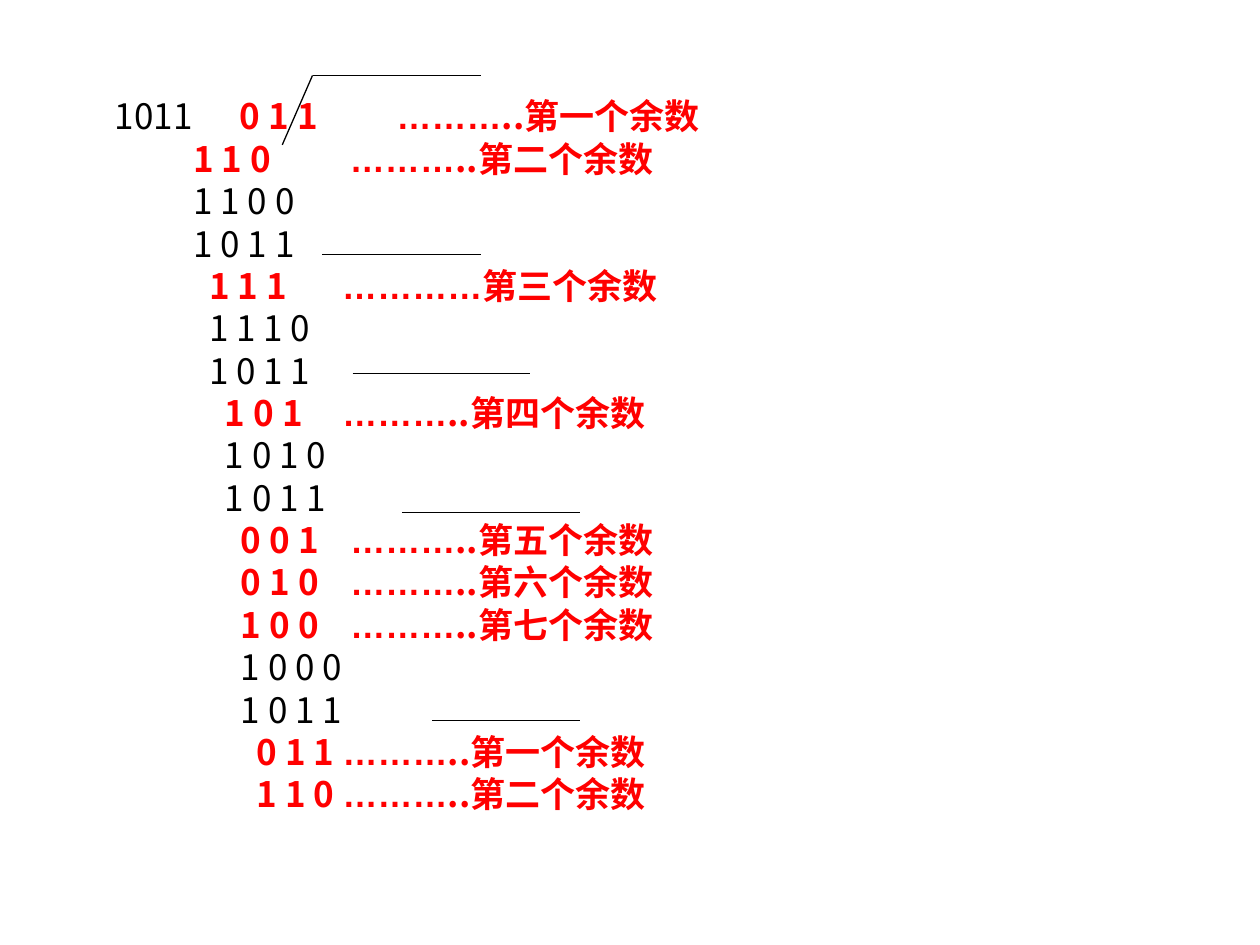
from pptx import Presentation
from pptx.dml.color import RGBColor
from pptx.enum.shapes import MSO_CONNECTOR as Conn
from pptx.enum.text import MSO_AUTO_SIZE as AutoSize
from pptx.oxml.ns import qn
from pptx.util import Cm, Pt
from lxml.etree import SubElement

BLACK = RGBColor(0, 0, 0)
RED = RGBColor(255, 0, 0)
CJK = "Noto Sans CJK SC"
DIVISOR_X, FIRST_X, STEP_X = 0.79, 2.37, 0.32
SPACE_WIDTH = 450

# number, indent level, gap in space widths, dots, label
ROWS = [
    ("0 1 1", 3, 10, "………", "..第一个余数"),
    ("1 1 0", 0, 10, "………", "..第二个余数"),
    ("1 1 0 0", 0),
    ("1 0 1 1", 0),
    ("1 1 1", 1, 7, "…………", "第三个余数"),
    ("1 1 1 0", 1),
    ("1 0 1 1", 1),
    ("1 0 1", 2, 5, "………", "..第四个余数"),
    ("1 0 1 0", 2),
    ("1 0 1 1", 2),
    ("0 0 1", 3, 4, "………", "..第五个余数"),
    ("0 1 0", 3, 4, "………", "..第六个余数"),
    ("1 0 0", 3, 4, "………", "..第七个余数"),
    ("1 0 0 0", 3),
    ("1 0 1 1", 3),
    ("0 1 1", 4, 1, "………", "..第一个余数"),
    ("1 1 0", 4, 1, "………", "..第二个余数"),
]
LINES = [
    (6.3, 1.52, 9.7, 1.52),
    (6.3, 1.52, 5.69, 2.92),
    (6.5, 5.13, 9.7, 5.13),
    (7.11, 7.53, 10.69, 7.53),
    (8.1, 10.33, 11.7, 10.33),
    (8.71, 14.53, 11.7, 14.53),
]


class Deck:
    """Holds the style and the current slide of the long division."""

    def __init__(self):
        self.prs = Presentation()
        self.prs.slide_width, self.prs.slide_height = Cm(25.4), Cm(19.05)
        self.s = self.prs.slides.add_slide(self.prs.slide_layouts[1])
        title = self.s.shapes.title
        title.element.getparent().remove(title.element)

    def body(self, left, top, width, height):
        sp = self.s.placeholders[1]
        sp.left, sp.top, sp.width, sp.height = map(Cm, (left, top, width, height))
        tf = sp.text_frame
        tf.word_wrap, tf.auto_size = True, AutoSize.NONE
        return tf

    def run(self, p, text, color, bold, font=CJK):
        r = p.add_run()
        r.text = text
        r.font.size, r.font.bold = Pt(20), bold
        r.font.color.rgb = color
        r.font.name = font
        SubElement(r.font._element, qn("a:ea"), typeface=CJK)
        return r

    def gap(self, p, widths, color, bold):
        r = self.run(p, " ", color, bold)
        r.font._element.set("spc", str((widths - 1) * SPACE_WIDTH))

    def paragraph(self, p, left):
        pPr = p._p.get_or_add_pPr()
        pPr.set("marL", str(Cm(left)))
        pPr.set("indent", "0")
        SubElement(pPr, qn("a:buNone"))
        p.line_spacing, p.space_before = Pt(24.2), Pt(0)

    def row(self, p, number, level, widths=0, dots="", label="", divisor=""):
        self.paragraph(p, DIVISOR_X if divisor else FIRST_X + level * STEP_X)
        if divisor:
            self.run(p, divisor, BLACK, False)
            self.gap(p, 6, BLACK, False)
        if label:
            self.run(p, number, RED, True)
            self.gap(p, widths, RED, True)
            self.run(p, dots, RED, True, "Arial")
            self.run(p, label, RED, True)
        else:
            self.run(p, number, BLACK, False)

    def line(self, x1, y1, x2, y2):
        c = self.s.shapes.add_connector(Conn.STRAIGHT, *map(Cm, (x1, y1, x2, y2)))
        c.line.color.rgb, c.line.width = BLACK, Pt(0.75)
        SubElement(c._element.spPr, qn("a:effectLst"))


def main():
    deck = Deck()
    tf = deck.body(1.27, 1.78, 22.86, 15.19)
    for i, row in enumerate(ROWS):
        p = tf.add_paragraph() if i else tf.paragraphs[0]
        deck.row(p, *row, divisor="" if i else "1011")
    for ends in LINES:
        deck.line(*ends)
    deck.prs.save("out.pptx")


if __name__ == "__main__":
    main()
